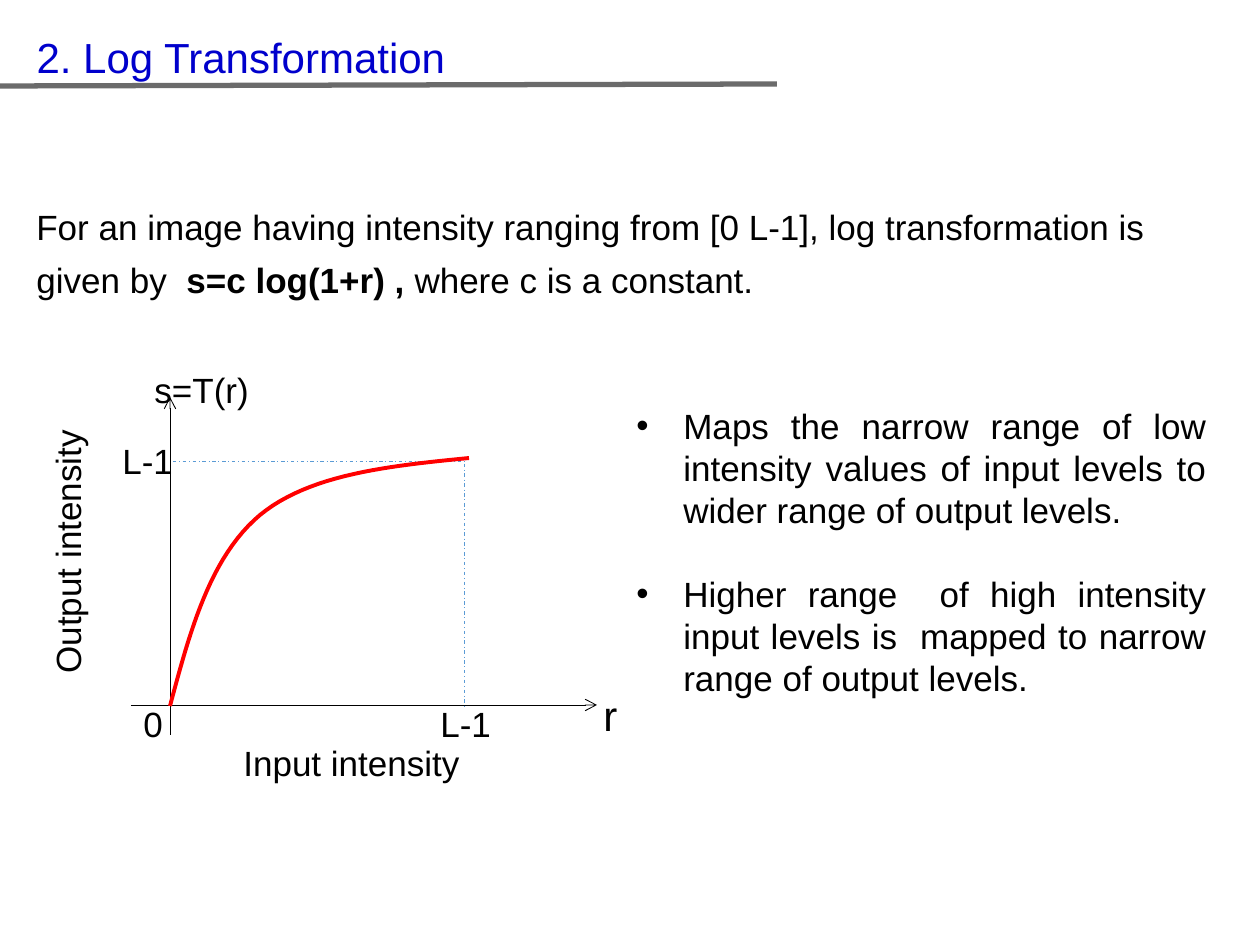
from pptx import Presentation
from pptx.dml.color import RGBColor
from pptx.enum.dml import MSO_LINE
from pptx.enum.text import MSO_ANCHOR, MSO_AUTO_SIZE, PP_ALIGN
from pptx.oxml.ns import qn
from pptx.util import Pt
from lxml.etree import SubElement

BLACK, BLUE, GREY, RED, PALE = "000000", "0000CC", "6B6B6B", "FF0000", "5B9BD5"


def px(n):
    return round(n * 914400 / 126)


def color(code):
    return RGBColor.from_string(code)


def write(para, text, size=20, code=BLACK, bold=False):
    run = para.add_run()
    run.text = text
    font = run.font
    font.name, font.size, font.bold = "Arial", Pt(size), bold
    font.color.rgb = color(code)


def fit(frame, wrap):
    frame.word_wrap = wrap
    frame.auto_size = MSO_AUTO_SIZE.SHAPE_TO_FIT_TEXT
    frame.vertical_anchor = MSO_ANCHOR.TOP
    return frame


def add_box(shapes, x, y, w, h, wrap=True):
    box = shapes.add_textbox(px(x), px(y), px(w), px(h))
    fit(box.text_frame, wrap)
    return box


def add_label(shapes, text, x, y, w, h=55, size=20):
    box = add_box(shapes, x, y, w, h, wrap=False)
    write(box.text_frame.paragraphs[0], text, size)
    return box


def add_line(shapes, start, end, code, width, arrow=False):
    line = shapes.add_connector(1, *map(px, start + end))
    line.line.color.rgb = color(code)
    line.line.width = Pt(width)
    if arrow:
        SubElement(line.line._get_or_add_ln(), qn("a:tailEnd"), type="arrow")
    SubElement(line._element.spPr, qn("a:effectLst"))


def add_path(shapes, points, code, width, dash=None):
    spots = [(px(x), px(y)) for x, y in points]
    pen = shapes.build_freeform(*spots[0])
    pen.add_line_segments(spots[1:], close=False)
    path = pen.convert_to_shape()
    path.shadow.inherit = False
    path.fill.background()
    path.line.color.rgb = color(code)
    path.line.width = Pt(width)
    if dash:
        path.line.dash_style = dash


def bezier(a, b, c, d, steps=24):
    """Points along a cubic curve, without its start."""
    for i in range(1, steps + 1):
        t = i / steps
        u = 1 - t
        yield tuple(u**3 * p + 3 * u * u * t * q + 3 * u * t * t * r + t**3 * s
                    for p, q, r, s in zip(a, b, c, d))


def add_title(slide, x, y, w, h):
    title = slide.shapes.title
    title.left, title.top, title.width, title.height = map(px, (x, y, w, h))
    para = fit(title.text_frame, False).paragraphs[0]
    para.alignment = PP_ALIGN.LEFT
    write(para, "2. Log Transformation", 24, BLUE)
    add_line(slide.shapes, (0, y + 61), (777, y + 59), GREY, 3)


def add_intro(slide, x, y, w, h):
    para = add_box(slide.shapes, x, y, w, h).text_frame.paragraphs[0]
    para.line_spacing = Pt(30)
    write(para, "For an image having intensity ranging from [0 L-1], "
                "log transformation is given by  ")
    write(para, "s=c log(1+r) , ", bold=True)
    write(para, "where c is a constant.")


def add_graph(slide, x, y):
    shapes = slide.shapes.add_group_shape().shapes

    def at(dx, dy):
        return x + dx, y + dy

    add_line(shapes, at(130, 375), at(130, 37), BLACK, 0.5, arrow=True)
    add_line(shapes, at(91, 345), at(557, 345), BLACK, 0.5, arrow=True)

    labels = [("0", 91, 336, 45), ("L-1", 388, 336, 77), ("L-1", 70, 73, 77),
              ("s=T(r)", 102, 2, 121), ("Input intensity", 191, 375, 253)]
    for text, dx, dy, w in labels:
        add_label(shapes, text, *at(dx, dy), w)
    add_label(shapes, "r", *at(551, 323), 39, 63, 24)
    side = add_label(shapes, "Output intensity", *at(-108, 163), 271)
    side.rotation = 270

    guide = [at(133, 101), at(425, 101), at(425, 347)]
    add_path(shapes, guide, PALE, 0.5, MSO_LINE.DASH_DOT)
    start, bend, end = at(130, 346), at(220, 155), at(429, 98)
    curve = [start,
             *bezier(start, at(150, 271), at(170, 197), bend),
             *bezier(bend, at(270, 114), at(349, 106), end)]
    add_path(shapes, curve, RED, 2.25)


def add_notes(slide, x, y, w, h):
    frame = add_box(slide.shapes, x, y, w, h).text_frame
    notes = ["Maps the narrow range of low intensity values of input levels "
             "to wider range of output levels.",
             "Higher range  of high intensity input levels is  mapped to "
             "narrow range of output levels. "]
    for i, text in enumerate(notes):
        para = frame.add_paragraph() if i else frame.paragraphs[0]
        para.alignment = PP_ALIGN.JUSTIFY
        if i:
            para.space_before = Pt(24)
        props = para._p.get_or_add_pPr()
        props.set("marL", str(px(47)))
        props.set("indent", str(-px(47)))
        SubElement(props, qn("a:buFont"), typeface="Arial")
        SubElement(props, qn("a:buChar"), char="•")
        write(para, text)


def main():
    deck = Presentation()
    deck.slide_width, deck.slide_height = px(1260), px(945)
    slide = deck.slides.add_slide(deck.slide_layouts[5])
    add_title(slide, 24, 25, 450, 63)
    add_intro(slide, 24, 189, 1225, 118)
    add_graph(slide, 40, 360)
    add_notes(slide, 624, 398, 595, 310)
    deck.save("out.pptx")


if __name__ == "__main__":
    main()
